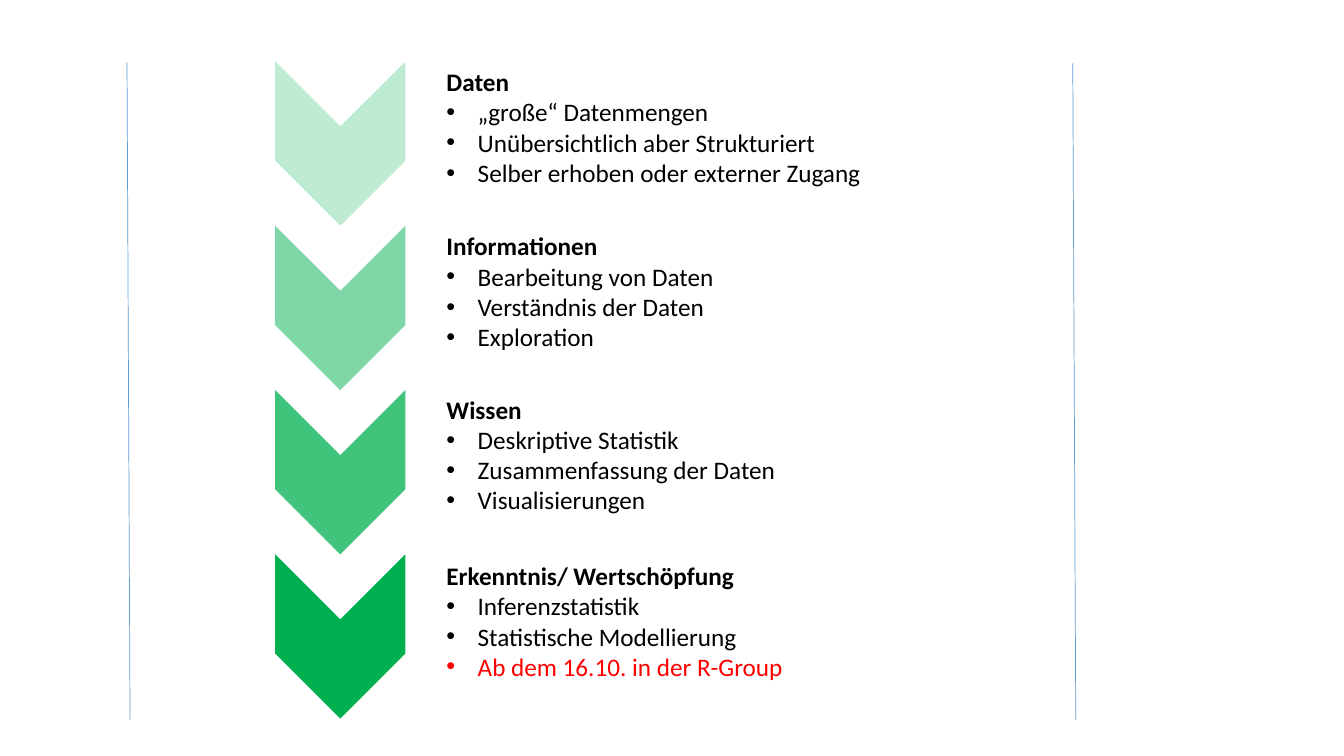
from lxml.etree import SubElement
from pptx import Presentation
from pptx.dml.color import RGBColor
from pptx.enum.shapes import MSO_CONNECTOR, MSO_SHAPE
from pptx.oxml.ns import qn
from pptx.util import Inches, Pt

STAGES = [
    # heading, bullets, opacity in percent, text top, text width, text height
    ("Daten", ["„große“ Datenmengen", "Unübersichtlich aber Strukturiert",
               "Selber erhoben oder externer Zugang"], 25, 0.61, 4.85, 2.22),
    ("Informationen", ["Bearbeitung von Daten", "Verständnis der Daten",
                       "Exploration"], 50, 2.24, 3.1, 1.92),
    ("Wissen", ["Deskriptive Statistik", "Zusammenfassung der Daten",
                "Visualisierungen"], 75, 3.86, 3.8, 1.92),
    ("Erkenntnis/ Wertschöpfung", ["Inferenzstatistik", "Statistische Modellierung",
                                   "Ab dem 16.10. in der R-Group"], 100, 5.51, 3.8, 1.92),
]
ANNOUNCEMENT = "Ab dem 16.10. in der R-Group"
FIRST_CHEVRON_TOP = 0.78
CHEVRON_STEP = 1.63


def color(hex_value):
    return RGBColor.from_string(hex_value)


class StageSlide:
    FONT = "Calibri"
    SIZE = Pt(18)
    TEXT = "000000"
    HIGHLIGHT = "FF0000"
    GREEN = "00B050"
    RULE = "5B9BD5"
    INDENT = Inches(0.31)

    def __init__(self, presentation):
        self.slide = presentation.slides.add_slide(presentation.slide_layouts[6])

    def chevron(self, top, opacity):
        chevron = self.slide.shapes.add_shape(
            MSO_SHAPE.CHEVRON, Inches(2.56), Inches(top), Inches(1.63), Inches(1.29))
        chevron.rotation = 90
        chevron.shadow.inherit = False
        chevron.line.fill.background()
        chevron.fill.solid()
        chevron.fill.fore_color.rgb = color(self.GREEN)
        if opacity < 100:
            green = chevron._element.spPr.find(qn("a:solidFill")).find(qn("a:srgbClr"))
            SubElement(green, qn("a:alpha"), val=str(opacity * 1000))

    def description(self, heading, bullets, top, width, height):
        box = self.slide.shapes.add_textbox(
            Inches(4.33), Inches(top), Inches(width), Inches(height))
        frame = box.text_frame
        frame.word_wrap = True
        frame.text = "\n".join([heading, *bullets])
        for index, paragraph in enumerate(frame.paragraphs):
            font = paragraph.runs[0].font
            font.name, font.size, font.bold = self.FONT, self.SIZE, index == 0
            highlighted = paragraph.text == ANNOUNCEMENT
            font.color.rgb = color(self.HIGHLIGHT if highlighted else self.TEXT)
            if index > 0:
                self.bullet(paragraph)

    def bullet(self, paragraph):
        properties = paragraph._p.get_or_add_pPr()
        properties.set("marL", str(self.INDENT))
        properties.set("indent", str(-self.INDENT))
        SubElement(properties, qn("a:buFont"), typeface="Arial")
        SubElement(properties, qn("a:buChar"), char="•")

    def rule(self, x1, y1, x2, y2):
        rule = self.slide.shapes.add_connector(
            MSO_CONNECTOR.STRAIGHT, Inches(x1), Inches(y1), Inches(x2), Inches(y2))
        rule.line.color.rgb = color(self.RULE)
        rule.line.width = Pt(0.5)
        SubElement(rule._element.spPr, qn("a:effectLst"))


def main():
    presentation = Presentation()
    presentation.slide_width = Inches(13.33)
    presentation.slide_height = Inches(7.5)
    page = StageSlide(presentation)

    for row, (heading, bullets, opacity, top, width, height) in enumerate(STAGES):
        page.chevron(FIRST_CHEVRON_TOP + row * CHEVRON_STEP, opacity)
        page.description(heading, bullets, top, width, height)

    page.rule(1.26, 0.62, 1.29, 7.14)
    page.rule(10.64, 0.63, 10.67, 7.14)
    presentation.save("out.pptx")


if __name__ == "__main__":
    main()
